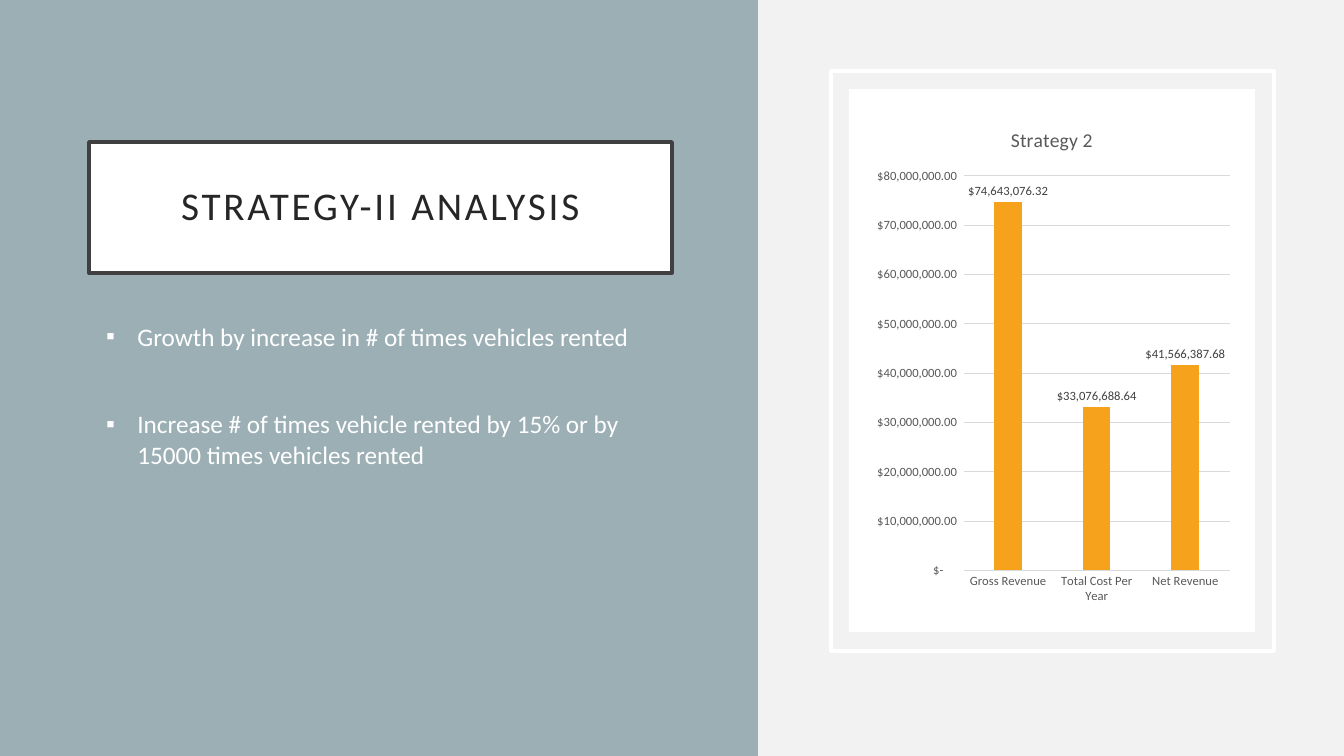
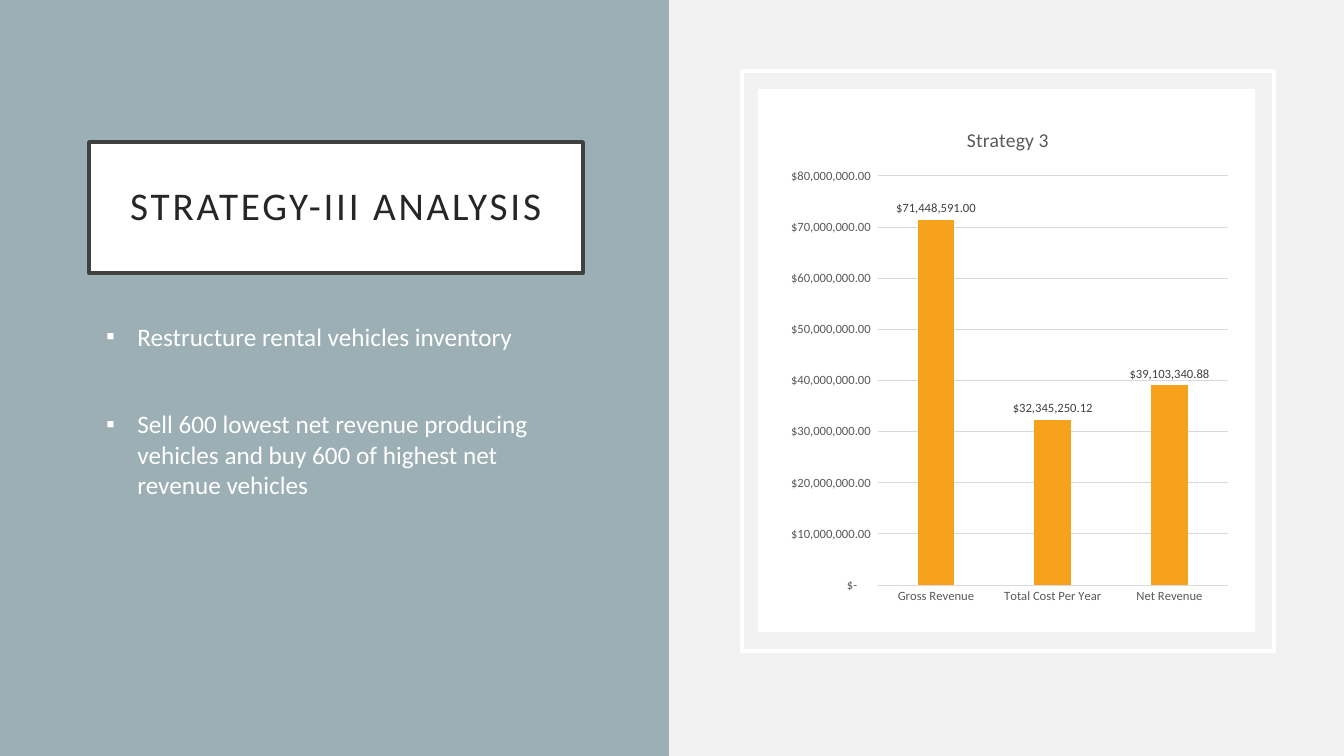
from lxml import etree
from pptx import Presentation
from pptx import util as u
from pptx.chart.data import CategoryChartData
from pptx.dml.color import RGBColor
from pptx.enum import chart as ch, shapes, text
from pptx.oxml.ns import qn

SCALE = 914400 / 100.8
FONT = "Calibri"
PAPER = RGBColor(0xF2, 0xF2, 0xF2)
TEAL = RGBColor(0x9B, 0xAF, 0xB5)
WHITE = RGBColor(0xFF, 0xFF, 0xFF)
FRAME = RGBColor(0x40, 0x40, 0x40)
INK = RGBColor(0x26, 0x26, 0x26)
GREY = RGBColor(0x59, 0x59, 0x59)
GRID = RGBColor(0xD9, 0xD9, 0xD9)
ORANGE = RGBColor(0xF6, 0xA2, 0x1D)
MONEY = r'_("$"* #,##0.00_);_("$"* \(#,##0.00\);_("$"* "-"??_);_(@_)'
CATEGORIES = ["Gross Revenue", "Total Cost Per Year", "Net Revenue"]
STRATEGIES = [
    dict(
        title="STRATEGY-II ANALYSIS", band=758, frame=831, panel=849, chart=867,
        points=["Growth by increase in # of times vehicles rented",
                "Increase # of times vehicle rented by 15% or by 15000 times vehicles rented"],
        heading="Strategy 2", amounts=[74643076.32, 33076688.64, 41566387.68]),
    dict(
        title="STRATEGY-III ANALYSIS", band=669, frame=742, panel=758, chart=779,
        points=["Restructure rental vehicles inventory",
                "Sell 600 lowest net revenue producing vehicles and buy 600 of highest net revenue vehicles"],
        heading="Strategy 3", amounts=[71448591.00, 32345250.12, 39103340.88]),
]


def px(*lengths):
    return [u.Emu(round(length * SCALE)) for length in lengths]


def style(font, size, color):
    font.name, font.size, font.bold = FONT, u.Pt(size), False
    font.color.rgb = color


prs = Presentation()
prs.slide_width, prs.slide_height = px(1344, 756)
backdrop = prs.slide_master.background.fill
backdrop.solid()
backdrop.fore_color.rgb = PAPER

for strategy in STRATEGIES:
    slide = prs.slides.add_slide(prs.slide_layouts[1])
    title, body = slide.placeholders
    column = strategy["band"] - 175

    blocks = [
        ((0, 0, strategy["band"], 756), TEAL, None),
        ((strategy["frame"], 71, 1274 - strategy["frame"], 580), None, WHITE),
        ((strategy["panel"], 89, 1255 - strategy["panel"], 543), WHITE, None),
    ]
    for box, fill, outline in blocks:
        block = slide.shapes.add_shape(shapes.MSO_SHAPE.RECTANGLE, *px(*box))
        block.shadow.inherit = False
        if fill:
            block.fill.solid()
            block.fill.fore_color.rgb = fill
        else:
            block.fill.background()
        if outline:
            block.line.color.rgb = outline
            block.line.width = u.Pt(2.5)
        else:
            block.line.fill.background()
        title.element.addprevious(block.element)

    title.left, title.top, title.width, title.height = px(89, 142, column, 131)
    title.fill.solid()
    title.fill.fore_color.rgb = WHITE
    title.line.color.rgb = FRAME
    title.line.width = u.Pt(2.5)
    frame = title.text_frame
    frame.text = strategy["title"]
    frame.auto_size = text.MSO_AUTO_SIZE.NONE
    frame.vertical_anchor = text.MSO_ANCHOR.MIDDLE
    frame.margin_left, frame.margin_top, frame.margin_right, frame.margin_bottom = px(20, 20, 20, 20)
    heading = frame.paragraphs[0]
    heading.alignment = text.PP_ALIGN.CENTER
    heading.line_spacing = 0.9
    style(heading.runs[0].font, 28, INK)
    for props in title.element.iter(qn("a:rPr")):
        props.set("spc", "200")

    body.left, body.top, body.width, body.height = px(89, 316, column, 336)
    body.text_frame.text = "\n".join(strategy["points"])
    body.text_frame.auto_size = text.MSO_AUTO_SIZE.NONE
    for gap, point in zip((0, 41), body.text_frame.paragraphs):
        point.space_before = u.Pt(gap)
        style(point.runs[0].font, 18, WHITE)
    for props in body.element.iter(qn("a:pPr")):
        props.set("marL", str(u.Inches(0.38)))
        props.set("indent", str(u.Inches(-0.31)))
        etree.SubElement(props, qn("a:buFont"), typeface="Arial")
        etree.SubElement(props, qn("a:buChar"), char="▪")

    revenue = CategoryChartData(number_format=MONEY)
    revenue.categories = CATEGORIES
    revenue.add_series("Series 1", strategy["amounts"])
    chart = slide.shapes.add_chart(
        ch.XL_CHART_TYPE.COLUMN_CLUSTERED,
        *px(strategy["chart"], 107, 1237 - strategy["chart"], 507), revenue).chart
    style(chart.font, 10, GREY)
    chart.has_legend = False
    chart.has_title = True
    chart.chart_title.include_in_layout = False
    chart.chart_title.text_frame.text = strategy["heading"]
    style(chart.chart_title.text_frame.paragraphs[0].runs[0].font, 14, GREY)

    names, amounts = chart.category_axis, chart.value_axis
    for axis in (names, amounts):
        axis.major_tick_mark = axis.minor_tick_mark = ch.XL_TICK_MARK.NONE
        style(axis.tick_labels.font, 9, GREY)
    amounts.minimum_scale, amounts.maximum_scale = 0, 80000000
    amounts.major_unit = 10000000
    amounts.tick_labels.number_format = MONEY
    amounts.tick_labels.number_format_is_linked = False
    amounts.format.line.fill.background()
    for rule in (names.format.line, amounts.major_gridlines.format.line):
        rule.color.rgb = GRID
        rule.width = u.Pt(0.75)

    plot = chart.plots[0]
    plot.gap_width, plot.overlap = 219, -27
    plot.vary_by_categories = False
    columns = plot.series[0]
    columns.format.fill.solid()
    columns.format.fill.fore_color.rgb = ORANGE
    labels = columns.data_labels
    labels.show_value = True
    labels.position = ch.XL_LABEL_POSITION.OUTSIDE_END
    labels.number_format = MONEY
    labels.number_format_is_linked = False
    style(labels.font, 9, FRAME)

prs.save("out.pptx")
